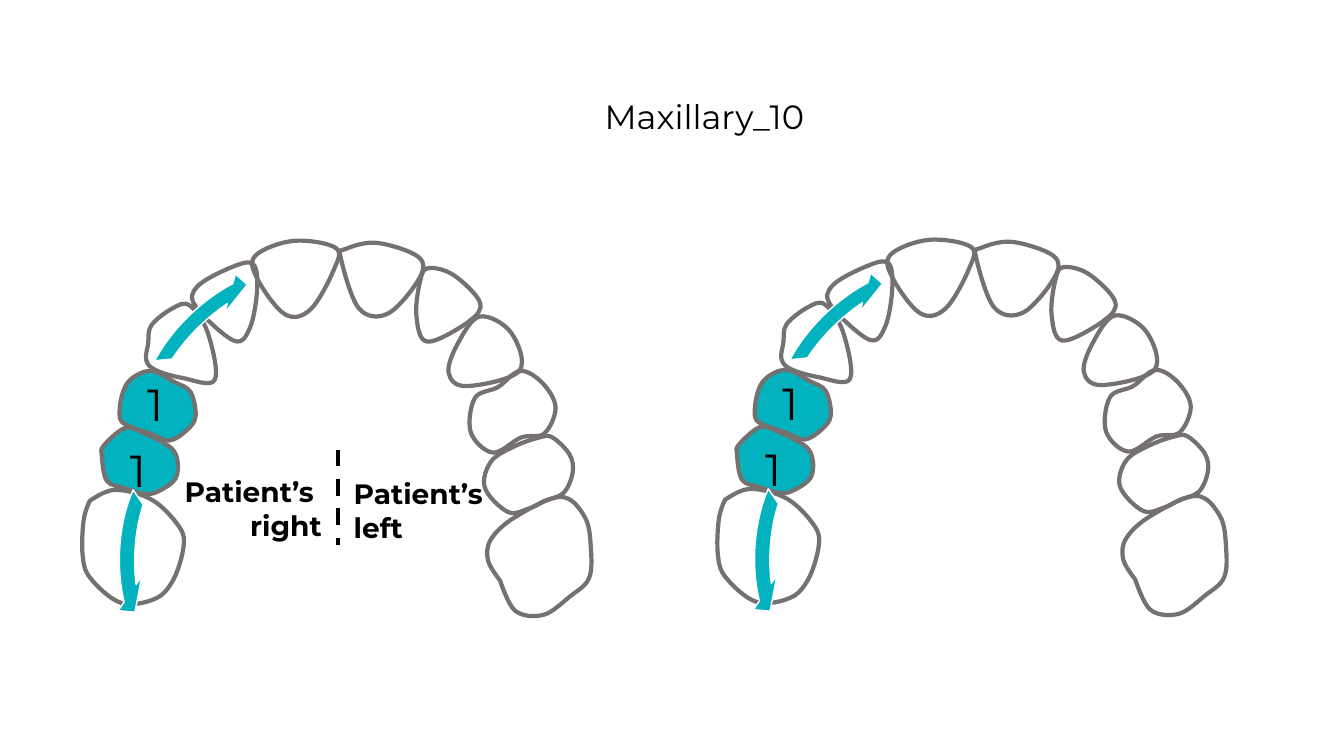
from lxml import etree
from pptx import Presentation
from pptx.dml.color import RGBColor
from pptx.enum.dml import MSO_LINE
from pptx.enum.shapes import MSO_CONNECTOR, MSO_SHAPE
from pptx.enum.text import MSO_ANCHOR, PP_ALIGN

PX = 9144  # one px is a hundredth of an inch
LEFT, MID, RIGHT = PP_ALIGN.LEFT, PP_ALIGN.CENTER, PP_ALIGN.RIGHT
TOP = MSO_ANCHOR.TOP
DASH = MSO_LINE.DASH
LINE = MSO_CONNECTOR.STRAIGHT
ARROW = MSO_SHAPE.CIRCULAR_ARROW
TEAL, GREY, WHITE, BLACK = "02B2BE", "767171", "FFFFFF", "000000"
NS = "{http://schemas.openxmlformats.org/drawingml/2006/main}"

# Anchors of each closed smooth outline; a doubled anchor is a corner
TEETH = [
    # Patient's left, front to back
    (None, [(343, 247), (338, 256), (356, 306), (385, 311), (416, 276),
            (415, 255), (374, 241)]),
    (None, [(417, 278), (413, 313), (424, 339), (465, 319), (476, 300),
            (450, 273), (425, 266)]),
    (None, [(445, 370), (454, 341), (476, 314), (507, 330), (515, 368),
            (463, 383)]),
    (None, [(516, 368), (494, 384), (471, 395), (467, 429), (489, 449),
            (517, 434), (540, 430), (551, 404), (538, 380)]),
    (None, [(510, 443), (487, 458), (481, 484), (504, 508), (526, 504),
            (540, 497), (559, 489), (568, 469), (565, 451), (548, 434),
            (535, 434)]),
    (None, [(511, 513), (487, 535), (484, 556), (496, 576), (496, 576),
            (511, 606), (539, 610), (565, 592), (584, 574), (586, 544),
            (580, 513), (556, 493)]),
    # Patient's right, front to back
    (WHITE, [(333, 246), (331, 268), (308, 307), (283, 312), (256, 278),
             (253, 254), (291, 239)]),
    (None, [(196, 284), (194, 304), (232, 338), (248, 325), (255, 287),
            (251, 262), (230, 265)]),
    (None, [(147, 341), (145, 357), (154, 367), (181, 375), (213, 377),
            (206, 330), (188, 303), (171, 306), (150, 323)]),
    (TEAL, [(121, 392), (130, 376), (150, 368), (173, 379), (189, 389),
            (194, 413), (185, 427), (168, 437), (149, 430), (129, 423),
            (119, 415)]),
    (TEAL, [(101, 452), (103, 442), (123, 425), (139, 428), (168, 443),
            (176, 457), (174, 475), (158, 487), (144, 490), (123, 484),
            (106, 477)]),
    (None, [(82, 551), (90, 574), (120, 598), (154, 594), (172, 575),
            (182, 543), (178, 523), (151, 496), (114, 486), (89, 497),
            (89, 497), (83, 516)]),
]


def hue(code):
    return RGBColor.from_string(code)


def write(frame, text, size, bold, align):
    frame.text = text
    frame.word_wrap = True
    frame.vertical_anchor = TOP
    for para in frame.paragraphs:
        para.alignment = align
        for run in para.runs:
            font = run.font
            font.name, font.size, font.bold = "Montserrat", size * 12700, bold
            font.color.rgb = hue(BLACK)


deck = Presentation()
deck.slide_width, deck.slide_height = 1333 * PX, 750 * PX
slide = deck.slides.add_slide(deck.slide_layouts[5])

# Title
title = slide.shapes.title
title.left, title.top, title.width, title.height = [
    v * PX for v in (565, 90, 276, 50)]
write(title.text_frame, "Maxillary_10 ", 24, False, MID)

# Side labels and midline
for text, align, box in [
    ("Patient’s \nright", RIGHT, (108, 466, 221, 77)),
    ("Patient’s\nleft", LEFT, (341, 468, 154, 77)),
]:
    label = slide.shapes.add_textbox(*[v * PX for v in box])
    write(label.text_frame, text, 20, True, align)
mid = slide.shapes.add_connector(
    LINE, *[v * PX for v in (335, 446, 335, 541)])
mid.line.color.rgb = hue(BLACK)
mid.line.width = 3 * 12700
mid.line.dash_style = DASH
etree.SubElement(mid._element.spPr, NS + "effectLst")

# Two equal arches
for dx, dy in [(0, 0), (630, -1)]:
    arch = slide.shapes.add_group_shape().shapes

    # Teeth
    for fill, knots in TEETH:
        dots = [((x + dx) * PX, (y + dy) * PX) for x, y in knots]
        pen = arch.build_freeform(*dots[0])
        pen.add_line_segments(dots[1:] + dots[:1], close=True)
        tooth = pen.convert_to_shape()

        # Bend each side: slopes run parallel to the neighbouring anchors
        slopes = []
        for i, dot in enumerate(dots):
            prev, nxt = dots[i - 1], dots[(i + 1) % len(dots)]
            flat = dot in (prev, nxt)
            slopes.append(
                [0 if flat else (b - a) // 6 for a, b in zip(prev, nxt)])
        sides = list(tooth._element.iter(NS + "lnTo"))
        for i, side in enumerate(sides):
            j = (i + 1) % len(dots)
            side.tag = NS + "cubicBezTo"
            for k, (dot, slope, sign) in enumerate([
                (dots[i], slopes[i], 1), (dots[j], slopes[j], -1),
            ]):
                pt = etree.Element(NS + "pt")
                pt.set("x", str(dot[0] + sign * slope[0] - tooth.left))
                pt.set("y", str(dot[1] + sign * slope[1] - tooth.top))
                side.insert(k, pt)

        tooth.shadow.inherit = False
        if fill:
            tooth.fill.solid()
            tooth.fill.fore_color.rgb = hue(fill)
        else:
            tooth.fill.background()
        tooth.line.color.rgb = hue(GREY)
        tooth.line.width = 3 * 12700

    # Numbers on the teal teeth
    for x, y in [(136, 369), (119, 434)]:
        num = arch.add_textbox(
            (x + dx) * PX, (y + dy) * PX, 65 * PX, 64 * PX)
        write(num.text_frame, "1", 32, False, LEFT)

    # Curved arrows
    for x, y, wide, high, turn, flips in [
        (57, 479, 235, 138, 273.2, ["flipH"]),
        (109, 284, 235, 133, 136.6, ["flipH", "flipV"]),
    ]:
        arrow = arch.add_shape(
            ARROW, (x + dx) * PX, (y + dy) * PX, wide * PX, high * PX)
        for i, value in enumerate([0.11, 8.27, 189, 130.56, 0.15]):
            arrow.adjustments[i] = value
        arrow.rotation = turn
        for flip in flips:
            arrow._element.spPr.xfrm.set(flip, "1")
        arrow.shadow.inherit = False
        arrow.fill.solid()
        arrow.fill.fore_color.rgb = hue(TEAL)
        arrow.line.color.rgb = hue(WHITE)
        arrow.line.width = 12700

deck.save("out.pptx")
